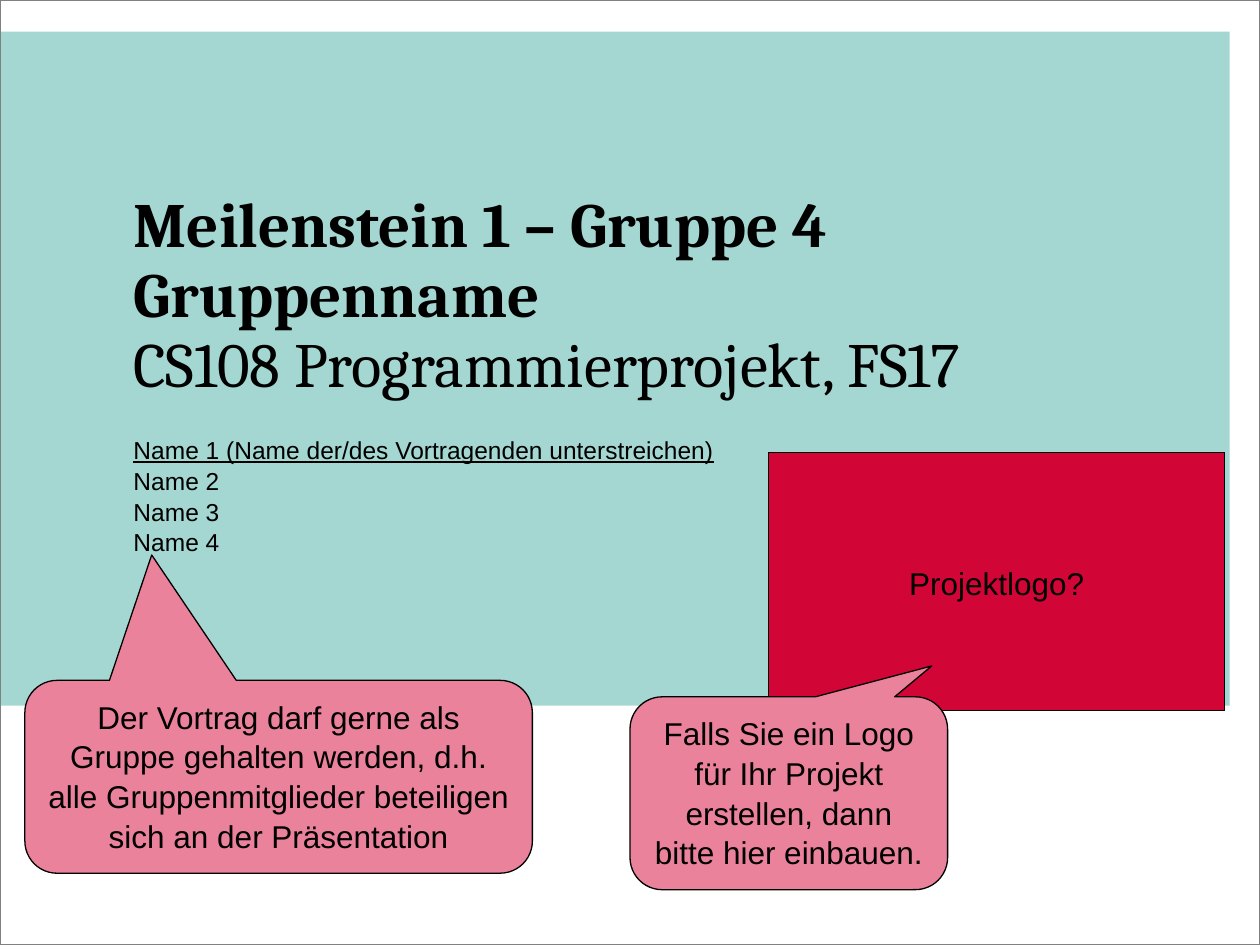
from pptx import Presentation
from pptx.dml.color import RGBColor
from pptx.enum import shapes, text
from pptx.util import Pt

COLORS = {
    "mint": "A5D7D2",
    "red": "D20537",
    "pink": "EB829B",
    "black": "000000",
    "frame": "808080",
}


def add_text(paragraph, content, font="Arial", size=18, bold=False,
             underline=False, align=text.PP_ALIGN.LEFT, spacing=1.05):
    """Add text to a paragraph; a newline becomes a line break."""
    paragraph.alignment = align
    paragraph.line_spacing = spacing
    for index, line in enumerate(content.split("\n")):
        if index:
            paragraph.add_line_break()
        if line:
            run = paragraph.add_run()
            run.text = line
            run.font.name = font
            run.font.size = Pt(size)
            run.font.bold = bold
            run.font.underline = underline
            run.font.color.rgb = RGBColor.from_string(COLORS["black"])


def add_box(kind, left, top, width, height, fill=None, line=None):
    """Add a preset shape with an optional fill and a thin outline."""
    shape = slide.shapes.add_shape(kind, Pt(left), Pt(top), Pt(width), Pt(height))
    shape.shadow.inherit = False
    if fill:
        shape.fill.solid()
        shape.fill.fore_color.rgb = RGBColor.from_string(COLORS[fill])
    else:
        shape.fill.background()
    if line:
        shape.line.color.rgb = RGBColor.from_string(COLORS[line])
        shape.line.width = Pt(0.75)
    else:
        shape.line.fill.background()
    return shape


presentation = Presentation()
presentation.slide_width, presentation.slide_height = Pt(720), Pt(540)
slide = presentation.slides.add_slide(presentation.slide_layouts[6])
RECTANGLE = shapes.MSO_SHAPE.RECTANGLE
CALLOUT = shapes.MSO_SHAPE.ROUNDED_RECTANGULAR_CALLOUT
CENTER = text.PP_ALIGN.CENTER

# Background panel and slide frame
add_box(RECTANGLE, 0, 18, 702.7, 385.2, fill="mint")
add_box(RECTANGLE, 0, 0, 720, 540, line="frame")

# Text frames for title and names
frames = []
for top, width, height in [(108.7, 612, 82), (247.7, 535.7, 90.7)]:
    frame = slide.shapes.add_textbox(Pt(76.3), Pt(top), Pt(width), Pt(height)).text_frame
    frame.word_wrap = True
    frame.margin_left = frame.margin_right = frame.margin_top = frame.margin_bottom = 0
    frames.append(frame)
title_frame, names_frame = frames

# Title
title = title_frame.paragraphs[0]
title_format = {"font": "Cambria", "size": 36, "spacing": Pt(40)}
add_text(title, "Meilenstein 1 – Gruppe 4\nGruppenname\n", bold=True, **title_format)
add_text(title, "CS108 Programmierprojekt, FS17", **title_format)

# Group members, the speaker underlined
members = ["Name 1 (Name der/des Vortragenden unterstreichen)", "Name 2", "Name 3", "Name 4"]
for index, member in enumerate(members):
    paragraph = names_frame.add_paragraph() if index else names_frame.paragraphs[0]
    add_text(paragraph, member, size=14, underline=index == 0)

# Space for the project logo
logo = add_box(RECTANGLE, 439.2, 258.5, 260.7, 147.6, fill="red", line="black")
logo.text_frame.word_wrap = False
logo.text_frame.vertical_anchor = text.MSO_ANCHOR.MIDDLE
add_text(logo.text_frame.paragraphs[0], "Projektlogo?", align=CENTER)

# Hints: left, top, width, pointer position, wording
hints = [
    (360, 398.2, 181.5, (0.45, -0.66),
     "Falls Sie ein Logo für Ihr Projekt erstellen, dann bitte hier einbauen."),
    (14.2, 388.8, 290, (-0.25, -1.15),
     "Der Vortrag darf gerne als Gruppe gehalten werden, d.h. "
     "alle Gruppenmitglieder beteiligen sich an der Präsentation"),
]
for left, top, width, pointer, wording in hints:
    hint = add_box(CALLOUT, left, top, width, 110.2, fill="pink", line="black")
    hint.adjustments[0], hint.adjustments[1] = pointer
    hint.text_frame.word_wrap = True
    hint.text_frame.vertical_anchor = text.MSO_ANCHOR.TOP
    add_text(hint.text_frame.paragraphs[0], wording, align=CENTER)

presentation.save("out.pptx")
